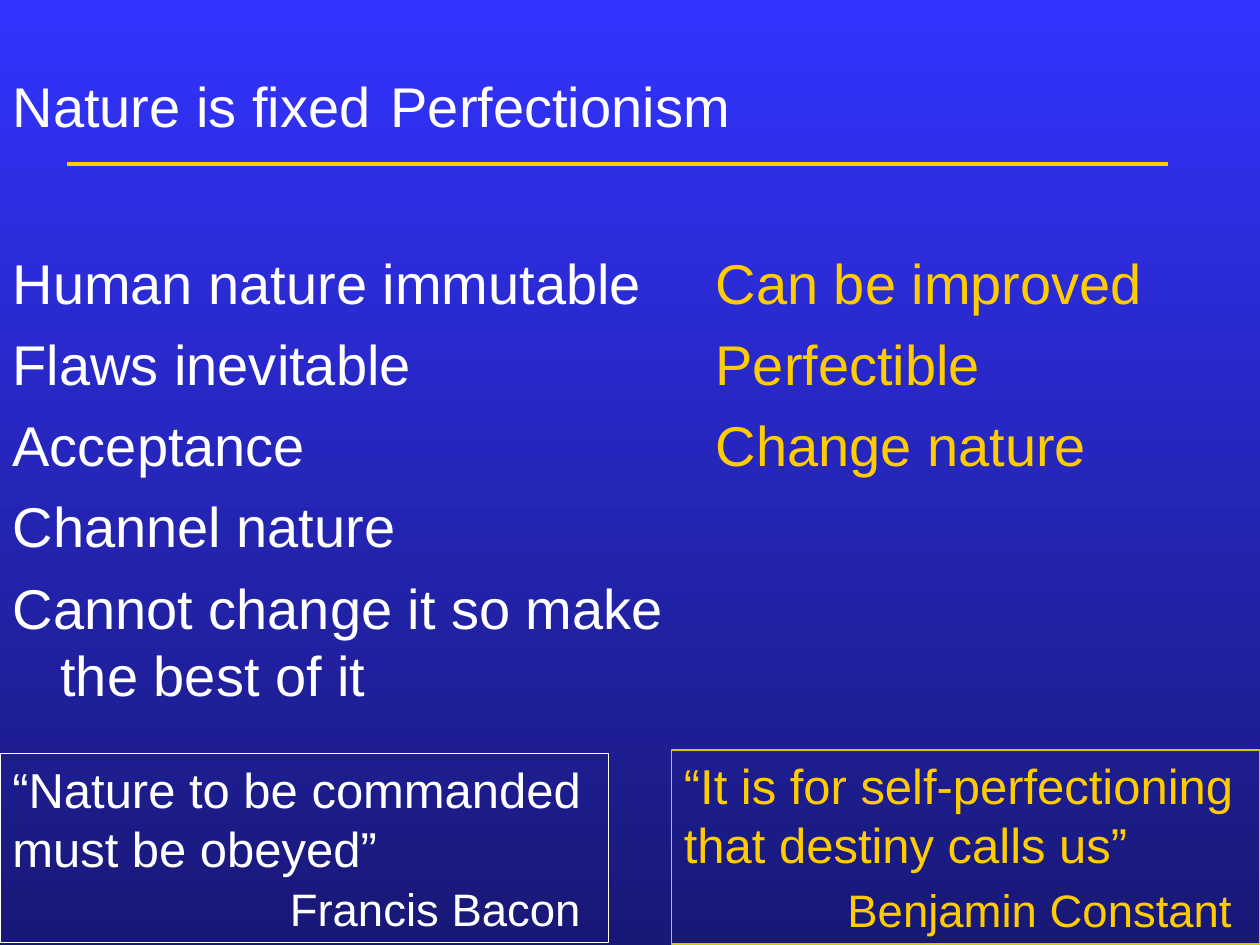
"""Build a slide contrasting fixed human nature with perfectionism."""
from lxml import etree
from pptx import Presentation
from pptx import util as u
from pptx.dml.color import RGBColor
from pptx.enum import shapes, text
from pptx.oxml import ns

WHITE = RGBColor(0xFF, 0xFF, 0xFF)
GOLD = RGBColor(0xFF, 0xCC, 0x00)
OLIVE = RGBColor(0xCC, 0xCC, 0x00)
BLUE = RGBColor(0x33, 0x33, 0xFF)
NAVY = RGBColor(0x18, 0x18, 0x76)

HEADING = "Nature is fixed\tPerfectionism"
HEADING_TAB = 6.07
COLUMNS = [
    {"box": (0, 1.92, 5.42, 3.9), "color": WHITE, "items": [
        "Human nature immutable", "Flaws inevitable", "Acceptance",
        "Channel nature", "Cannot change it so make the best of it"]},
    {"box": (5.58, 1.92, 4.42, 2), "color": GOLD, "items": [
        "Can be improved", "Perfectible", "Change nature"]},
]
QUOTES = [
    {"box": (0, 5.98, 4.83, 1.5), "color": WHITE, "border": WHITE, "gap": 2,
     "quote": "“Nature to be commanded must be obeyed”",
     "author": "Francis Bacon"},
    {"box": (5.33, 5.95, 4.67, 1.54), "color": GOLD, "border": OLIVE, "gap": 5,
     "quote": "“It is for self-perfectioning that destiny calls us”",
     "author": "Benjamin Constant"},
]


def place(shape, box, anchor=text.MSO_ANCHOR.TOP):
    shape.left, shape.top, shape.width, shape.height = map(u.Inches, box)
    frame = shape.text_frame
    frame.word_wrap = True
    frame.auto_size = text.MSO_AUTO_SIZE.NONE
    frame.vertical_anchor = anchor
    return frame


def add_text(frame, words, color, size=32, before=0, hanging=0, right=0,
             tab=None, align=text.PP_ALIGN.LEFT):
    paragraph = frame.paragraphs[0]
    if paragraph.runs:
        paragraph = frame.add_paragraph()
    properties = paragraph._p.get_or_add_pPr()
    properties.set("marL", str(u.Inches(hanging)))
    properties.set("indent", str(u.Inches(-hanging)))
    properties.set("marR", str(u.Inches(right)))
    etree.SubElement(properties, ns.qn("a:buNone"))
    if tab:
        stops = etree.SubElement(properties, ns.qn("a:tabLst"))
        etree.SubElement(stops, ns.qn("a:tab"), pos=str(u.Inches(tab)), algn="l")
    paragraph.alignment = align
    paragraph.space_before = u.Pt(before)
    run = paragraph.add_run()
    run.text = words
    run.font.name = "Arial"
    run.font.size = u.Pt(size)
    run.font.color.rgb = color


def add_rule(slide, left, right, top):
    rule = slide.shapes.add_connector(
        shapes.MSO_CONNECTOR.STRAIGHT, u.Inches(left), u.Inches(top),
        u.Inches(right), u.Inches(top))
    rule.line.color.rgb = GOLD
    rule.line.width = u.Pt(2)
    etree.SubElement(rule._element.spPr, ns.qn("a:effectLst"))


def add_quote(slide, quote):
    shape = slide.shapes.add_shape(
        shapes.MSO_SHAPE.RECTANGLE, *map(u.Inches, quote["box"]))
    shape.shadow.inherit = False
    shape.fill.background()
    shape.line.color.rgb = quote["border"]
    shape.line.width = u.Pt(1)
    frame = place(shape, quote["box"])
    add_text(frame, quote["quote"], quote["color"], size=28)
    add_text(frame, quote["author"], quote["color"], size=26,
             before=quote["gap"], right=0.12, align=text.PP_ALIGN.RIGHT)


def main():
    presentation = Presentation()
    presentation.slide_width = u.Inches(10)
    presentation.slide_height = u.Inches(7.5)
    slide = presentation.slides.add_slide(presentation.slide_layouts[3])

    fill = slide.background.fill
    fill.gradient()
    fill.gradient_angle = 270
    for stop, position, color in zip(fill.gradient_stops, (0, 1), (BLUE, NAVY)):
        stop.position = position
        stop.color.rgb = color

    title = place(slide.shapes.title, (0, 0.5, 10, 0.67), text.MSO_ANCHOR.MIDDLE)
    add_text(title, HEADING, WHITE, tab=HEADING_TAB)
    add_rule(slide, 0.53, 9.27, 1.3)

    for index, column in enumerate(COLUMNS, start=1):
        frame = place(slide.placeholders[index], column["box"])
        for number, item in enumerate(column["items"]):
            add_text(frame, item, column["color"], hanging=0.38,
                     before=8 if number else 0)
    for quote in QUOTES:
        add_quote(slide, quote)
    presentation.save("out.pptx")


if __name__ == "__main__":
    main()
